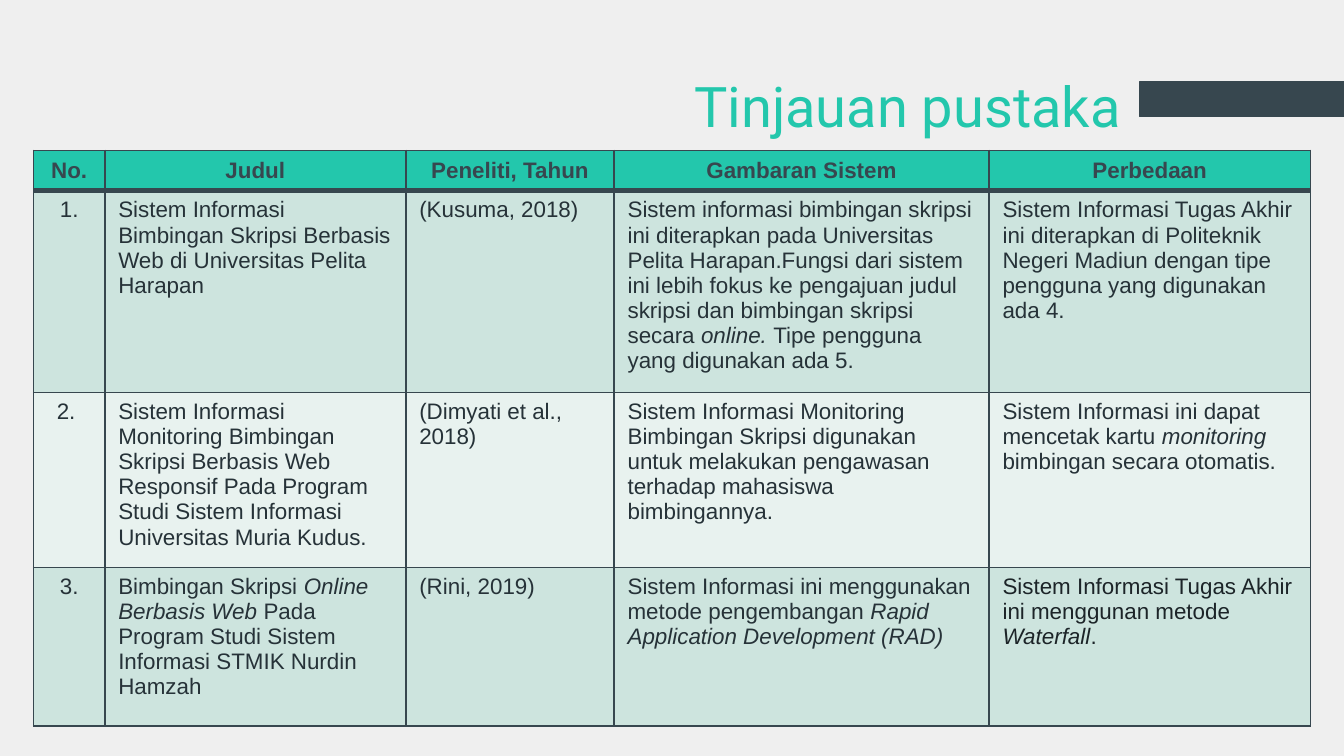
from lxml import etree
from pptx import Presentation
from pptx.dml.color import RGBColor
from pptx.enum.shapes import MSO_SHAPE
from pptx.enum.text import MSO_ANCHOR, PP_ALIGN
from pptx.oxml.ns import qn
from pptx.util import Inches, Pt

RECTANGLE = MSO_SHAPE.RECTANGLE
TOP, MIDDLE = MSO_ANCHOR.TOP, MSO_ANCHOR.MIDDLE
LEFT, CENTER, RIGHT = PP_ALIGN.LEFT, PP_ALIGN.CENTER, PP_ALIGN.RIGHT

BACKGROUND = RGBColor(0xEF, 0xEF, 0xEF)
SLATE = RGBColor(0x37, 0x47, 0x4F)
TEAL = RGBColor(0x23, 0xC7, 0xAC)
BODY_TEXT = RGBColor(0x26, 0x32, 0x38)
DARK_TEXT = RGBColor(0x1C, 0x24, 0x28)
DARK_BAND = RGBColor(0xCD, 0xE4, 0xDE)
LIGHT_BAND = RGBColor(0xE8, 0xF2, 0xEF)

COLUMN_WIDTHS = [0.53, 2.24, 1.55, 2.79, 2.39]
ROW_HEIGHTS = [0.29, 1.45, 1.26, 1.18]
ROWS = [
    ["No.", "Judul", "Peneliti, Tahun", "Gambaran Sistem", "Perbedaan"],
    [
        "1.",
        "Sistem Informasi Bimbingan Skripsi Berbasis Web di Universitas Pelita Harapan",
        "(Kusuma, 2018)",
        "Sistem informasi bimbingan skripsi ini diterapkan pada Universitas Pelita "
        "Harapan.Fungsi dari sistem ini lebih fokus ke pengajuan judul skripsi dan "
        "bimbingan skripsi secara *online. *Tipe pengguna yang digunakan ada 5.",
        "Sistem Informasi Tugas Akhir ini diterapkan di Politeknik Negeri Madiun "
        "dengan tipe pengguna yang digunakan ada 4.",
    ],
    [
        "2. ",
        "Sistem Informasi Monitoring Bimbingan Skripsi Berbasis Web Responsif Pada "
        "Program Studi Sistem Informasi Universitas Muria Kudus.",
        "(Dimyati et al., 2018)",
        "Sistem Informasi Monitoring Bimbingan Skripsi digunakan untuk melakukan "
        "pengawasan terhadap mahasiswa bimbingannya.",
        "Sistem Informasi ini dapat mencetak kartu *monitoring *bimbingan secara otomatis.",
    ],
    [
        "3.",
        "Bimbingan Skripsi *Online Berbasis Web *Pada Program Studi Sistem Informasi "
        "STMIK Nurdin Hamzah",
        "(Rini, 2019)",
        "Sistem Informasi ini menggunakan metode pengembangan "
        "*Rapid Application Development (RAD)*",
        "Sistem Informasi Tugas Akhir ini menggunan metode *Waterfall*.",
    ],
]


def write_text(text_frame, text, font="Arial", size=12, color=BODY_TEXT,
               bold=False, align=LEFT, line_spacing=None):
    paragraph = text_frame.paragraphs[0]
    paragraph.alignment = align
    paragraph.line_spacing = line_spacing
    for index, part in enumerate(text.split("*")):
        if part:
            run = paragraph.add_run()
            run.text = part
            run.font.name = font
            run.font.size = Pt(size)
            run.font.bold = bold
            run.font.italic = index % 2 == 1
            run.font.color.rgb = color
    etree.SubElement(paragraph._p, qn("a:endParaRPr"), sz=str(size * 100))


def set_borders(cell, **widths):
    properties = cell._tc.get_or_add_tcPr()
    for side in "LRTB":
        line = etree.SubElement(properties, qn(f"a:ln{side}"), w=str(Pt(widths.get(side, 1))))
        fill = etree.SubElement(line, qn("a:solidFill"))
        etree.SubElement(fill, qn("a:srgbClr"), val=str(SLATE))


presentation = Presentation()
presentation.slide_width = Inches(10)
presentation.slide_height = Inches(10 * 9 / 16)
slide = presentation.slides.add_slide(presentation.slide_layouts[6])
slide.background.fill.solid()
slide.background.fill.fore_color.rgb = BACKGROUND

accent_bar = slide.shapes.add_shape(
    RECTANGLE, Inches(8.48), Inches(0.61), Inches(1.52), Inches(0.26))
accent_bar.shadow.inherit = False
accent_bar.fill.solid()
accent_bar.fill.fore_color.rgb = SLATE
accent_bar.line.color.rgb = SLATE
accent_bar.line.width = Pt(0.75)

title = slide.shapes.add_textbox(Inches(4.58), Inches(0.36), Inches(3.86), Inches(0.55))
title_frame = title.text_frame
title_frame.word_wrap = True
title_frame.vertical_anchor = TOP
title_frame.margin_top = title_frame.margin_bottom = Inches(0.1)
title_frame.margin_left = title_frame.margin_right = Inches(0.1)
write_text(title_frame, "Tinjauan pustaka", font="Roboto", size=30, color=TEAL,
           align=RIGHT, line_spacing=1.15)

table = slide.shapes.add_table(
    len(ROWS), len(COLUMN_WIDTHS), Inches(0.25), Inches(1.12),
    Inches(sum(COLUMN_WIDTHS)), Inches(sum(ROW_HEIGHTS))).table
for column, width in zip(table.columns, COLUMN_WIDTHS):
    column.width = Inches(width)
for row, height in zip(table.rows, ROW_HEIGHTS):
    row.height = Inches(height)

for row_index, texts in enumerate(ROWS):
    is_header = row_index == 0
    band = TEAL if is_header else DARK_BAND if row_index % 2 else LIGHT_BAND
    for column_index, text in enumerate(texts):
        cell = table.cell(row_index, column_index)
        set_borders(cell, T=3 if row_index == 1 else 1, B=3 if is_header else 1)
        cell.fill.solid()
        cell.fill.fore_color.rgb = band
        cell.vertical_anchor = MIDDLE if is_header else TOP
        is_last = row_index == len(ROWS) - 1 and column_index == len(texts) - 1
        write_text(
            cell.text_frame, text, bold=is_header,
            color=SLATE if is_header else DARK_TEXT if is_last else BODY_TEXT,
            align=CENTER if is_header or column_index == 0 else LEFT)

presentation.save("out.pptx")
